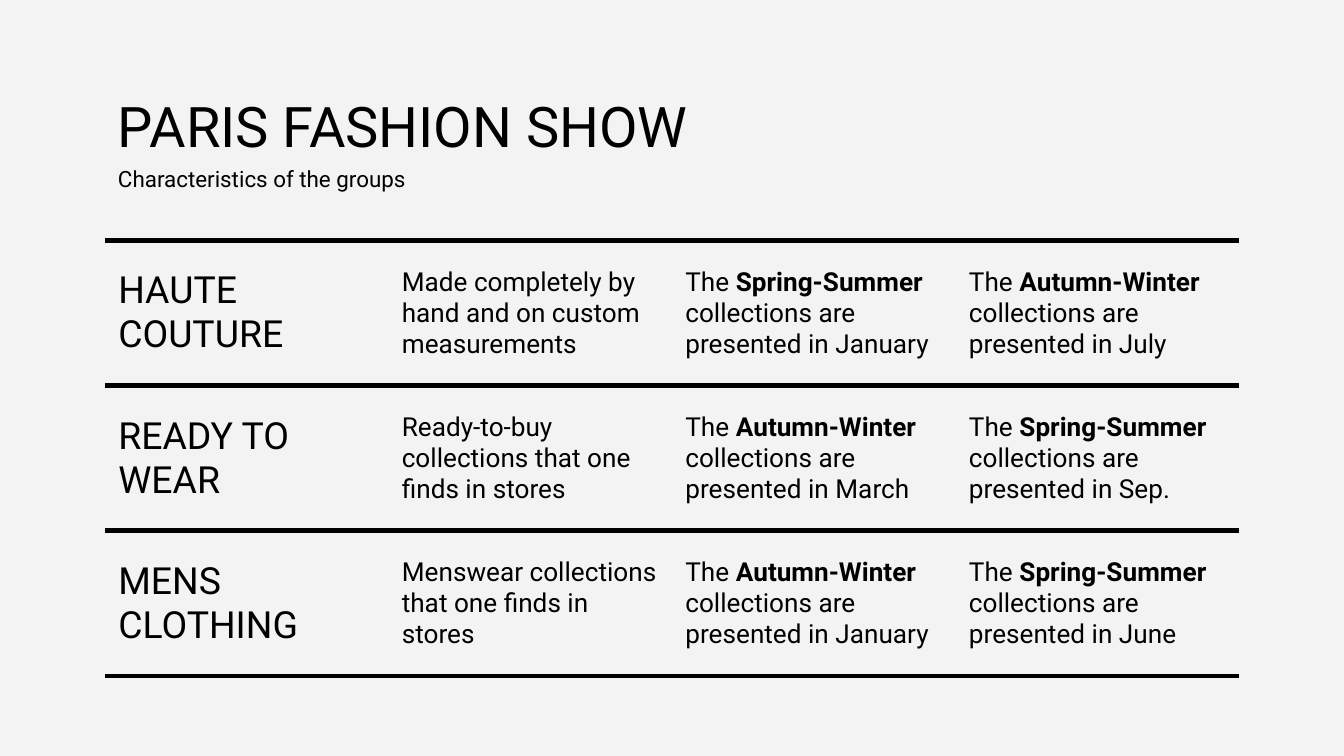
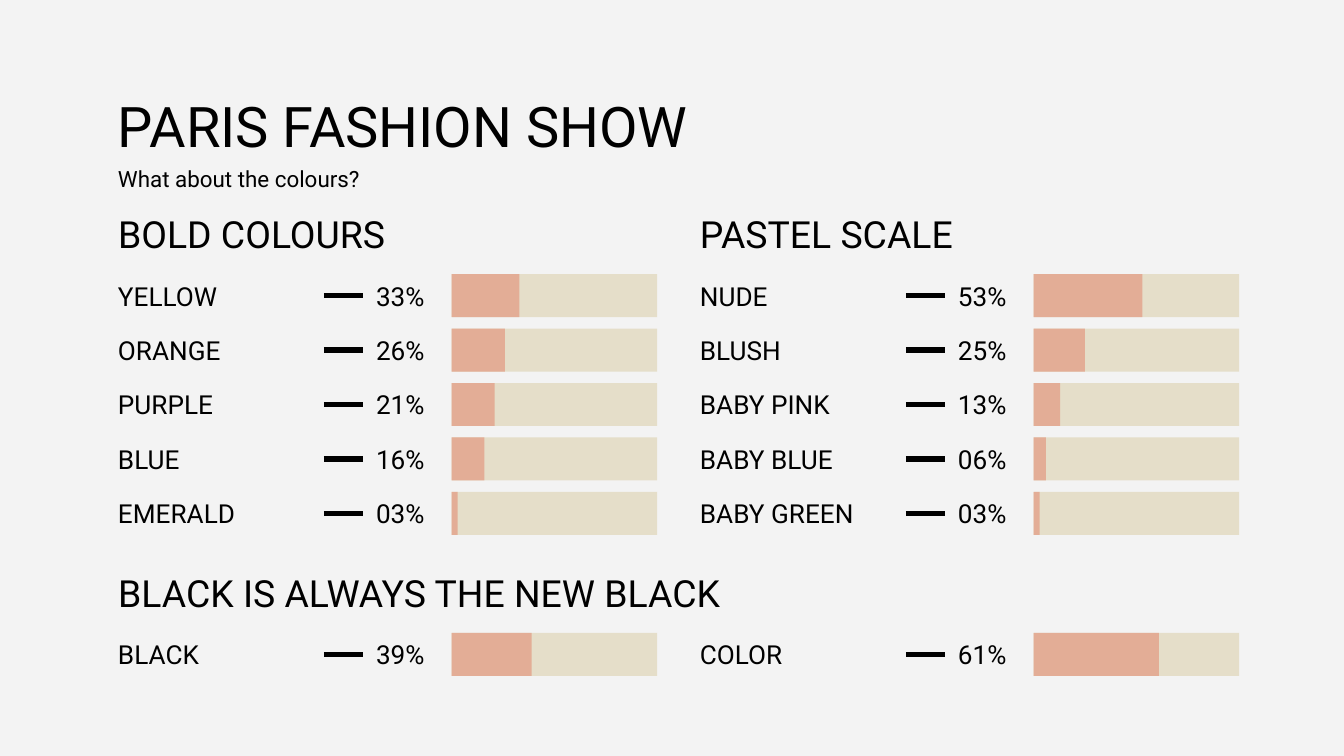
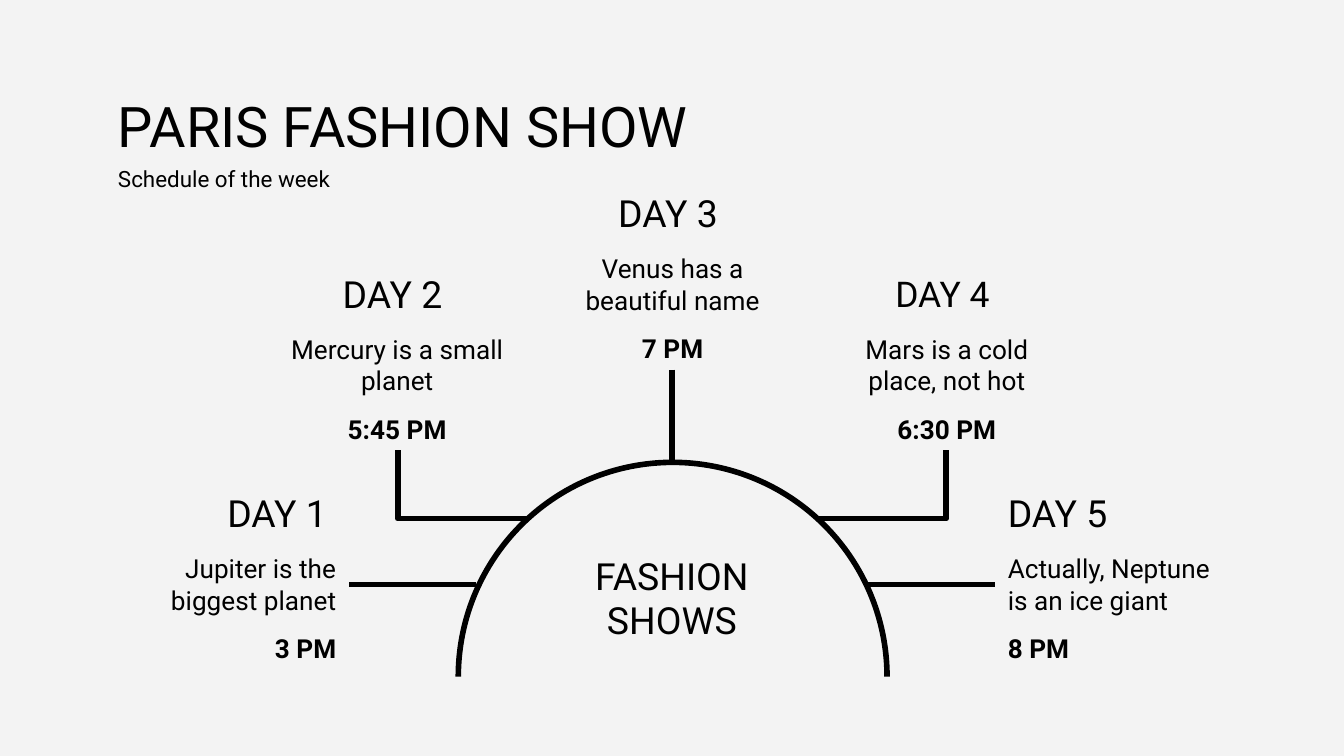
from lxml.etree import SubElement
from pptx import Presentation
from pptx.dml.color import RGBColor
from pptx.enum.shapes import MSO_CONNECTOR, MSO_SHAPE
from pptx.enum.text import MSO_ANCHOR, PP_ALIGN
from pptx.oxml import parse_xml
from pptx.oxml.ns import nsdecls, qn
from pptx.util import Inches, Pt

FONT = "Roboto"
INK = "000000"
PAPER = "F3F3F3"
TRACK = "E5DEC9"
SHARE = "E3AD96"
MARGIN = 0.78
CONTENT_WIDTH = 8.44
RULE_WEIGHT = 3
HEADING = 20
BODY = 14

GROUPS = [
    ("HAUTE COUTURE", "Made completely by hand and on custom measurements",
     ("Spring-Summer", "January"), ("Autumn-Winter", "July")),
    ("READY TO WEAR", "Ready-to-buy collections that one finds in stores",
     ("Autumn-Winter", "March"), ("Spring-Summer", "Sep.")),
    ("MENS CLOTHING", "Menswear collections that one finds in stores",
     ("Autumn-Winter", "January"), ("Spring-Summer", "June")),
]

PALETTES = [
    (0.78, "BOLD COLOURS",
     [("YELLOW", 33), ("ORANGE", 26), ("PURPLE", 21), ("BLUE", 16), ("EMERALD", 3)],
     ("BLACK", 39)),
    (5.11, "PASTEL SCALE",
     [("NUDE", 53), ("BLUSH", 25), ("BABY PINK", 13), ("BABY BLUE", 6), ("BABY GREEN", 3)],
     ("COLOR", 61)),
]

DAYS = [
    (0.79, 3.59, "DAY 1 ", HEADING, "Jupiter is the biggest planet", "3 PM", PP_ALIGN.RIGHT),
    (2.05, 1.96, "DAY 2 ", HEADING, "Mercury is a small planet", "5:45 PM", PP_ALIGN.CENTER),
    (4.1, 1.36, "DAY 3 ", HEADING, "Venus has a beautiful name", "7 PM", PP_ALIGN.CENTER),
    (6.14, 1.96, "DAY 4 ", 19, "Mars is a cold place, not hot", "6:30 PM", PP_ALIGN.CENTER),
    (7.4, 3.59, "DAY 5", HEADING, "Actually, Neptune is an ice giant", "8 PM", PP_ALIGN.LEFT),
]


def colour(hex_code):
    return RGBColor.from_string(hex_code)


class Deck:
    def __init__(self):
        self.presentation = Presentation()
        self.presentation.slide_width = Inches(10)
        self.presentation.slide_height = Inches(5.625)
        backdrop = self.presentation.slide_master.background.fill
        backdrop.solid()
        backdrop.fore_color.rgb = colour(PAPER)
        self.slide = None

    def start_slide(self, subtitle):
        self.slide = self.presentation.slides.add_slide(self.presentation.slide_layouts[6])
        self.text(MARGIN, 0.58, CONTENT_WIDTH, 0.63, "PARIS FASHION SHOW", 30, anchor=MSO_ANCHOR.TOP)
        self.text(MARGIN, 1.13, CONTENT_WIDTH, 0.32, subtitle, 12, anchor=MSO_ANCHOR.TOP)

    def style_paragraph(self, paragraph, size, bold=None, align=PP_ALIGN.LEFT):
        paragraph.alignment = align
        paragraph.font.name = FONT
        paragraph.font.size = Pt(size)
        paragraph.font.bold = bold
        paragraph.font.color.rgb = colour(INK)

    def fill_frame(self, frame, words, size, bold, align, anchor):
        frame.word_wrap = True
        frame.vertical_anchor = anchor
        frame.margin_left = frame.margin_right = Inches(0.1)
        frame.margin_top = frame.margin_bottom = Inches(0.1)
        frame.text = words
        self.style_paragraph(frame.paragraphs[0], size, bold, align)

    def text(self, left, top, width, height, words, size=BODY, bold=None,
             align=PP_ALIGN.LEFT, anchor=MSO_ANCHOR.MIDDLE):
        box = self.slide.shapes.add_textbox(Inches(left), Inches(top), Inches(width), Inches(height))
        self.fill_frame(box.text_frame, words, size, bold, align, anchor)

    def shape(self, preset, left, top, width, height, fill=None, line=None):
        shape = self.slide.shapes.add_shape(
            preset, Inches(left), Inches(top), Inches(width), Inches(height))
        shape.shadow.inherit = False
        if fill:
            shape.fill.solid()
            shape.fill.fore_color.rgb = colour(fill)
        else:
            shape.fill.background()
        if line:
            shape.line.color.rgb = colour(line)
            shape.line.width = Pt(RULE_WEIGHT)
        else:
            shape.line.fill.background()
        return shape

    def heading_shape(self, left, top, width, height, words, size, align):
        heading = self.shape(MSO_SHAPE.ROUND_1_RECTANGLE, left, top, width, height)
        heading.adjustments[0] = 0
        self.fill_frame(heading.text_frame, words, size, None, align, MSO_ANCHOR.MIDDLE)

    def line(self, start, end, bent=False):
        kind = MSO_CONNECTOR.ELBOW if bent else MSO_CONNECTOR.STRAIGHT
        connector = self.slide.shapes.add_connector(kind, *map(Inches, start + end))
        connector.line.color.rgb = colour(INK)
        connector.line.width = Pt(RULE_WEIGHT)
        properties = connector._element.spPr
        if bent:
            properties.find(qn("a:prstGeom")).set("prst", "bentConnector2")
        SubElement(properties, qn("a:effectLst"))

    def rule_cell(self, cell):
        properties = cell._tc.get_or_add_tcPr()
        ruled = f'<a:solidFill><a:srgbClr val="{INK}"/></a:solidFill>'
        edges = [("lnL", "<a:noFill/>"), ("lnR", "<a:noFill/>"), ("lnT", ruled), ("lnB", ruled)]
        for position, (edge, paint) in enumerate(edges):
            properties.insert(position, parse_xml(
                f'<a:{edge} {nsdecls("a")} w="{Pt(RULE_WEIGHT)}">{paint}</a:{edge}>'))

    def table(self, left, top, width, height, rows):
        table = self.slide.shapes.add_table(
            len(rows), len(rows[0]), Inches(left), Inches(top), Inches(width), Inches(height)).table
        table.first_row = False
        table.horz_banding = False
        for row_index, row in enumerate(rows):
            for column_index, content in enumerate(row):
                cell = table.cell(row_index, column_index)
                cell.fill.background()
                cell.vertical_anchor = MSO_ANCHOR.MIDDLE
                cell.margin_left = cell.margin_right = Inches(0.1)
                cell.margin_top = cell.margin_bottom = Inches(0.1)
                paragraph = cell.text_frame.paragraphs[0]
                self.style_paragraph(paragraph, BODY if column_index else HEADING)
                if isinstance(content, str):
                    paragraph.add_run().text = content
                else:
                    season, month = content
                    paragraph.add_run().text = "The "
                    collection = paragraph.add_run()
                    collection.text = season
                    collection.font.bold = True
                    paragraph.add_run().text = f" collections are presented in {month}"
                self.rule_cell(cell)

    def share_row(self, left, top, label, percent):
        height, bar_left, bar_width = 0.32, left + 2.58, 1.53
        middle = top + height / 2
        self.text(left, top, 1.63, height, label)
        self.line((left + 1.63, middle), (left + 1.92, middle))
        self.text(left + 1.92, top, 0.66, height, f"{percent:02d}%")
        self.shape(MSO_SHAPE.RECTANGLE, bar_left, top, bar_width, height, TRACK)
        self.shape(MSO_SHAPE.RECTANGLE, bar_left, top, bar_width * percent / 100, height, SHARE)

    def day(self, left, top, name, size, description, time, align):
        width = 1.81
        self.heading_shape(left, top, width, 0.45, name, size, align)
        self.text(left, top + 0.44, width, 0.63, description, align=align)
        self.text(left, top + 1.07, width, 0.32, time, bold=True, align=align)


def build_groups(deck):
    deck.start_slide("Characteristics of the groups")
    deck.table(MARGIN, 1.79, CONTENT_WIDTH, 3.24, GROUPS)


def build_colours(deck):
    deck.start_slide("What about the colours?")
    for left, title, shades, total in PALETTES:
        deck.text(left, 1.51, 4.11, 0.46, title, HEADING)
        for index, (shade, percent) in enumerate(shades):
            deck.share_row(left, 2.04 + index * 1.62 / 4, shade, percent)
        deck.share_row(left, 4.71, *total)
    deck.text(MARGIN, 4.18, 5.51, 0.46, "BLACK IS ALWAYS THE NEW BLACK", HEADING)


def build_schedule(deck):
    deck.start_slide("Schedule of the week")
    centre = 5
    deck.line((centre, 2.75), (centre, 3.44))
    for side in (-1, 1):
        deck.line((centre + side * 1.07, 3.86), (centre + side * 2.04, 3.35), bent=True)
        deck.line((centre + side * 2.4, 4.35), (centre + side * 1.46, 4.35))
    dome = deck.shape(MSO_SHAPE.ARC, 3.41, 3.44, 3.19, 3.19, line=INK)
    dome.adjustments[0] = 108
    dome.adjustments[1] = 0
    deck.text(3.88, 4.1, 2.24, 0.78, "FASHION SHOWS", HEADING,
              align=PP_ALIGN.CENTER, anchor=MSO_ANCHOR.BOTTOM)
    for day in DAYS:
        deck.day(*day)


def main():
    deck = Deck()
    build_groups(deck)
    build_colours(deck)
    build_schedule(deck)
    deck.presentation.save("out.pptx")


if __name__ == "__main__":
    main()
